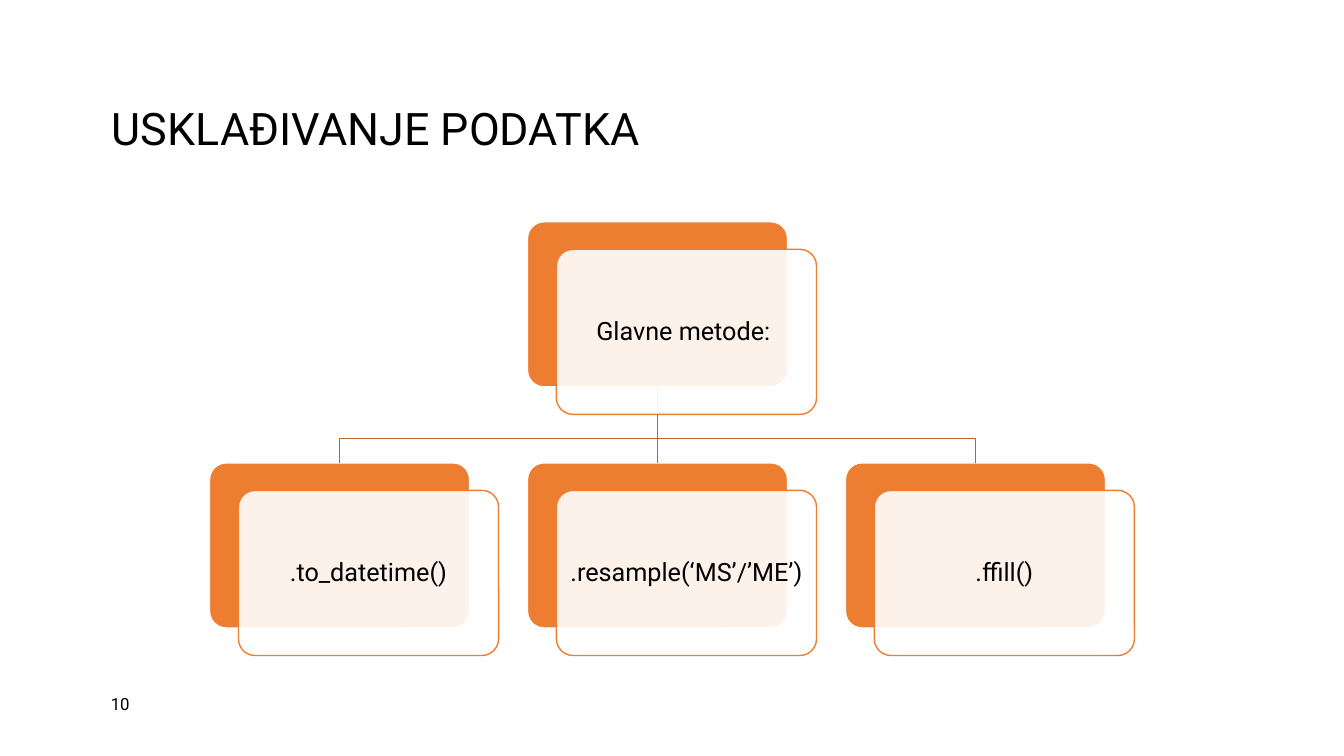
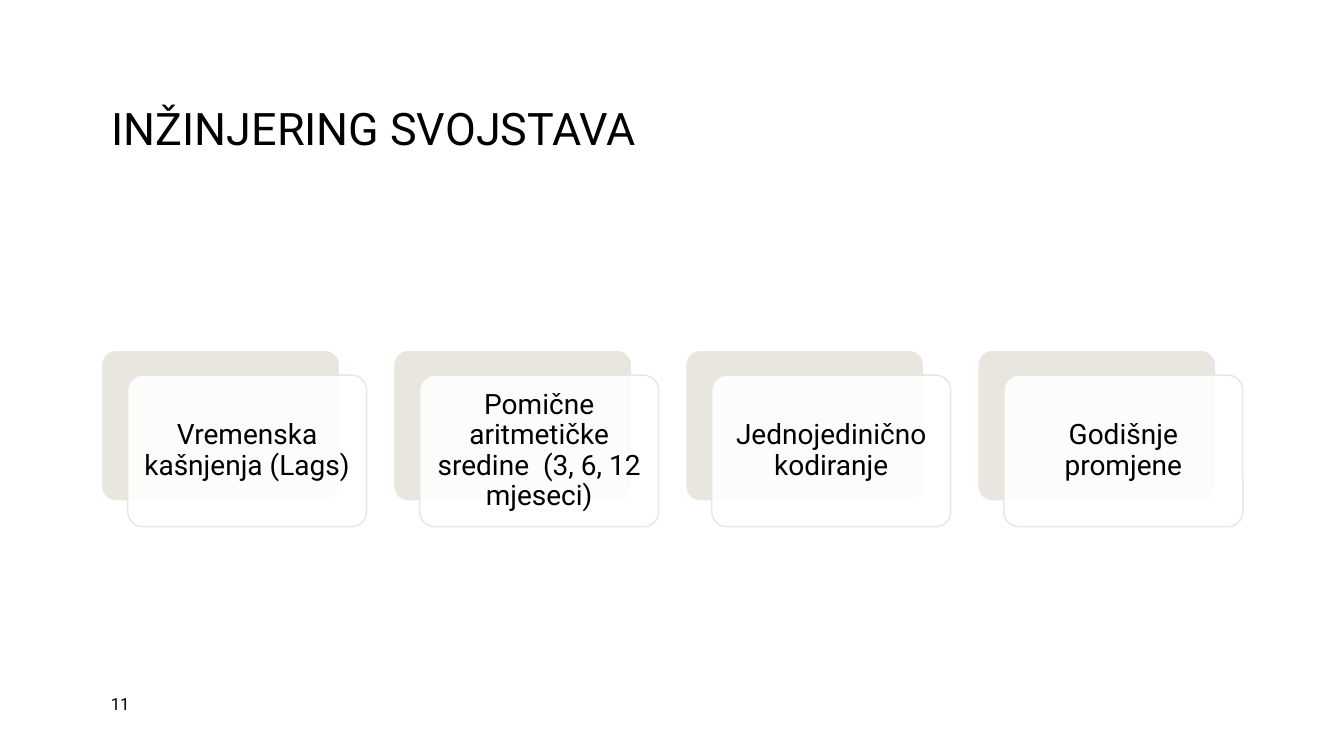
import dataclasses

import lxml.etree
import pptx
import pptx.dml.color
import pptx.enum.shapes
import pptx.enum.text
import pptx.oxml.ns
import pptx.presentation
import pptx.shapes.autoshape
import pptx.slide
import pptx.util


@dataclasses.dataclass(frozen=True)
class Theme:
    font: str = "Roboto"
    ink: str = "000000"
    paper: str = "FFFFFF"
    orange: str = "ED7D31"
    link: str = "BE6427"
    sand: str = "E9E6DF"
    title_size: int = 32
    number_size: int = 12
    line_width: float = 1
    card_opacity: int = 90
    corner: float = 0.1
    line_spacing: float = 0.9


@dataclasses.dataclass(frozen=True)
class Box:
    left: float
    top: float
    width: float
    height: float

    @property
    def center(self) -> float:
        return self.left + self.width / 2

    @property
    def bottom(self) -> float:
        return self.top + self.height

    def lengths(self) -> tuple[pptx.util.Length, ...]:
        return tuple(map(pptx.util.Inches, dataclasses.astuple(self)))


@dataclasses.dataclass(frozen=True)
class Card:
    text: str
    column: int
    row: int = 0


@dataclasses.dataclass(frozen=True)
class CardGrid:
    columns: int
    top: float
    card_width: float
    color: str
    text_size: int
    inset: float
    back_line_width: float

    @property
    def card_height(self) -> float:
        return self.card_width * 0.635

    @property
    def shift(self) -> float:
        return self.card_width / 9

    def back_box(self, card: Card) -> Box:
        column_step = self.card_width + 2 * self.shift
        row_step = self.card_height * 1.46
        total_width = (self.columns - 1) * column_step + self.card_width + self.shift
        return Box((SLIDE_WIDTH - total_width) / 2 + card.column * column_step,
                   self.top + card.row * row_step, self.card_width, self.card_height)

    def front_box(self, card: Card) -> Box:
        back = self.back_box(card)
        return Box(back.left + self.shift, back.top + self.card_height / 6,
                   back.width, back.height)


SLIDE_WIDTH, SLIDE_HEIGHT = 13.33, 7.5
THEME = Theme()
TITLE_BOX = Box(1.01, 0.64, 11.32, 1.32)
NUMBER_BOX = Box(1, 6.83, 0.69, 0.32)
LINK_BEND = 0.68

METHODS_GRID = CardGrid(columns=3, top=2.2, card_width=2.58, color=THEME.orange,
                        text_size=18, inset=0.07, back_line_width=1)
ROOT_METHOD = Card("Glavne metode: ", 1)
METHODS = [
    Card(".to_datetime()", 0, 1),
    Card(".resample(‘MS’/’ME’)", 1, 1),
    Card(".ffill()", 2, 1),
]

FEATURES_GRID = CardGrid(columns=4, top=3.47, card_width=2.37, color=THEME.sand,
                         text_size=20, inset=0.08, back_line_width=1.5)
FEATURES = [
    Card(text, column) for column, text in enumerate([
        "Vremenska kašnjenja (Lags)",
        "Pomične aritmetičke sredine  (3, 6, 12 mjeseci)",
        "Jednojedinično kodiranje",
        "Godišnje promjene",
    ])
]


def rgb(color: str) -> pptx.dml.color.RGBColor:
    return pptx.dml.color.RGBColor.from_string(color)


def write_text(shape: pptx.shapes.autoshape.Shape, text: str, size: int,
               centered: bool = False) -> None:
    frame = shape.text_frame
    frame.text = text
    frame.word_wrap = True
    frame.vertical_anchor = pptx.enum.text.MSO_ANCHOR.MIDDLE
    paragraph = frame.paragraphs[0]
    alignment = pptx.enum.text.PP_ALIGN
    paragraph.alignment = alignment.CENTER if centered else alignment.LEFT
    paragraph.line_spacing = THEME.line_spacing
    for run in paragraph.runs:
        run.font.name = THEME.font
        run.font.size = pptx.util.Pt(size)
        run.font.color.rgb = rgb(THEME.ink)


def add_rounded(slide: pptx.slide.Slide, box: Box, fill: str, line: str,
                line_width: float) -> pptx.shapes.autoshape.Shape:
    shape = slide.shapes.add_shape(
        pptx.enum.shapes.MSO_SHAPE.ROUNDED_RECTANGLE, *box.lengths())
    shape.adjustments[0] = THEME.corner
    shape.shadow.inherit = False
    shape.fill.solid()
    shape.fill.fore_color.rgb = rgb(fill)
    shape.line.color.rgb = rgb(line)
    shape.line.width = pptx.util.Pt(line_width)
    return shape


def add_back(slide: pptx.slide.Slide, grid: CardGrid,
             card: Card) -> pptx.shapes.autoshape.Shape:
    return add_rounded(slide, grid.back_box(card), grid.color, THEME.paper,
                       grid.back_line_width)


def add_front(slide: pptx.slide.Slide, grid: CardGrid, card: Card) -> None:
    shape = add_rounded(slide, grid.front_box(card), THEME.paper, grid.color,
                        THEME.line_width)
    color = shape.fill._xPr.find(".//" + pptx.oxml.ns.qn("a:srgbClr"))
    alpha = lxml.etree.SubElement(color, pptx.oxml.ns.qn("a:alpha"))
    alpha.set("val", str(THEME.card_opacity * 1000))
    frame = shape.text_frame
    frame.margin_left = frame.margin_right = pptx.util.Inches(grid.inset)
    frame.margin_top = frame.margin_bottom = pptx.util.Inches(grid.inset)
    write_text(shape, card.text, grid.text_size, centered=True)


def add_straight_link(slide: pptx.slide.Slide, parent: pptx.shapes.autoshape.Shape,
                      child: pptx.shapes.autoshape.Shape) -> None:
    connector = slide.shapes.add_connector(
        pptx.enum.shapes.MSO_CONNECTOR.STRAIGHT, 0, 0, 0, 0)
    connector.begin_connect(parent, 2)
    connector.end_connect(child, 0)
    connector.line.color.rgb = rgb(THEME.link)
    connector.line.width = pptx.util.Pt(THEME.line_width)
    lxml.etree.SubElement(connector._element.spPr, pptx.oxml.ns.qn("a:effectLst"))


def add_bent_link(slide: pptx.slide.Slide, parent: Box, child: Box) -> None:
    bend = parent.bottom + (child.top - parent.bottom) * LINK_BEND
    corners = [(parent.center, parent.bottom), (parent.center, bend),
               (child.center, bend), (child.center, child.top)]
    points = [(pptx.util.Inches(x), pptx.util.Inches(y)) for x, y in corners]
    builder = slide.shapes.build_freeform(*points[0])
    builder.add_line_segments(points[1:], close=False)
    shape = builder.convert_to_shape()
    shape.shadow.inherit = False
    shape.fill.background()
    shape.line.color.rgb = rgb(THEME.link)
    shape.line.width = pptx.util.Pt(THEME.line_width)


def add_base_slide(presentation: pptx.presentation.Presentation, title: str,
                   number: int) -> pptx.slide.Slide:
    slide = presentation.slides.add_slide(presentation.slide_layouts[6])
    slide.background.fill.solid()
    slide.background.fill.fore_color.rgb = rgb(THEME.paper)
    for box, text, size in [(TITLE_BOX, title, THEME.title_size),
                            (NUMBER_BOX, str(number), THEME.number_size)]:
        write_text(slide.shapes.add_textbox(*box.lengths()), text, size)
    return slide


def build_methods_slide(presentation: pptx.presentation.Presentation) -> None:
    slide = add_base_slide(presentation, "USKLAĐIVANJE PODATKA", 10)
    root_shape = add_back(slide, METHODS_GRID, ROOT_METHOD)
    for method in METHODS:
        method_shape = add_back(slide, METHODS_GRID, method)
        if method.column == ROOT_METHOD.column:
            add_straight_link(slide, root_shape, method_shape)
        else:
            add_bent_link(slide, METHODS_GRID.back_box(ROOT_METHOD),
                          METHODS_GRID.back_box(method))
    for card in [ROOT_METHOD, *METHODS]:
        add_front(slide, METHODS_GRID, card)


def build_features_slide(presentation: pptx.presentation.Presentation) -> None:
    slide = add_base_slide(presentation, "INŽINJERING SVOJSTAVA", 11)
    for feature in FEATURES:
        add_back(slide, FEATURES_GRID, feature)
        add_front(slide, FEATURES_GRID, feature)


def main() -> None:
    presentation = pptx.Presentation()
    presentation.slide_width = pptx.util.Inches(SLIDE_WIDTH)
    presentation.slide_height = pptx.util.Inches(SLIDE_HEIGHT)
    build_methods_slide(presentation)
    build_features_slide(presentation)
    presentation.save("out.pptx")


if __name__ == "__main__":
    main()
